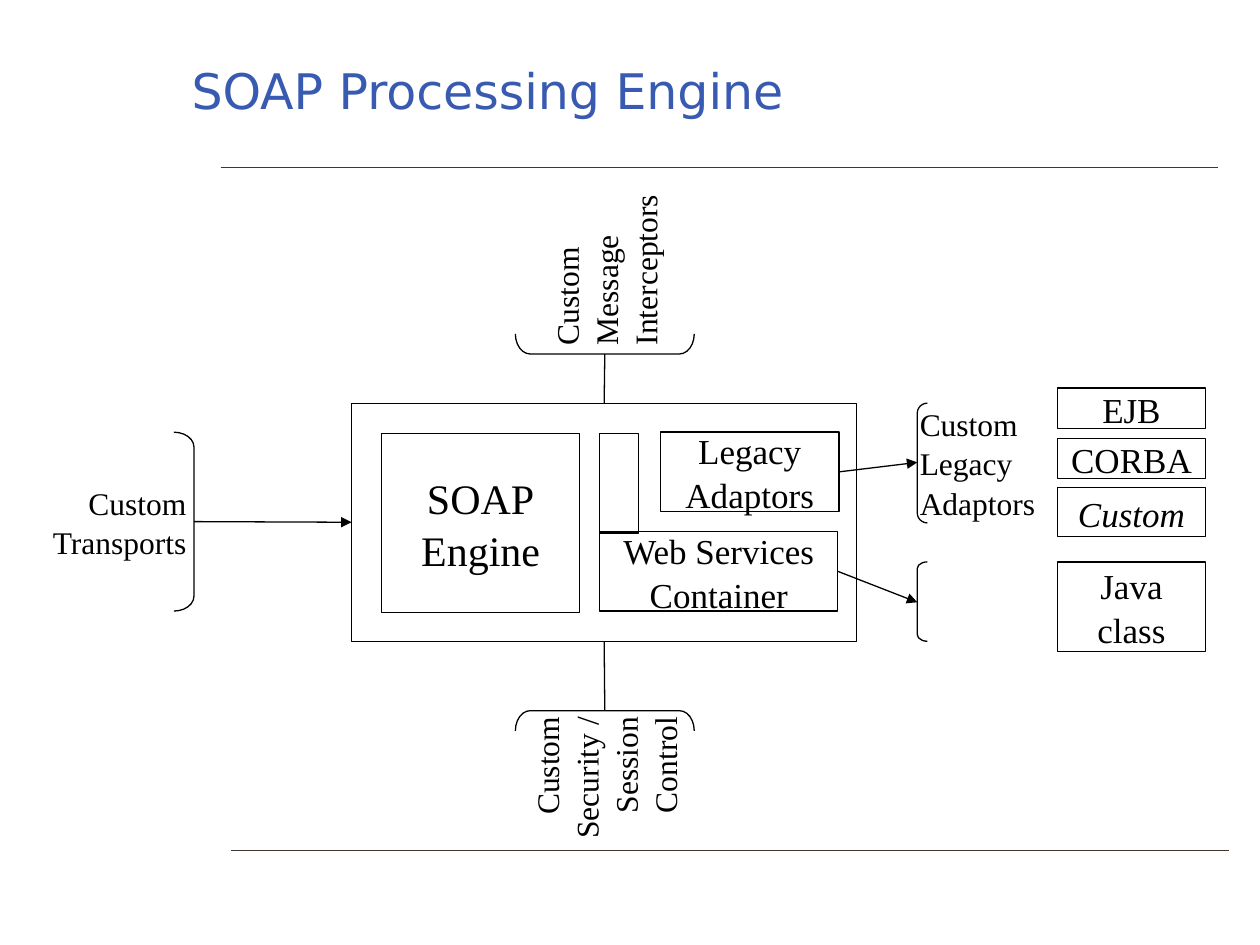
import pptx
import pptx.util
import pptx.dml.color
import pptx.enum.shapes
import pptx.enum.text
import pptx.oxml
import pptx.oxml.ns
from dataclasses import dataclass

Inches = pptx.util.Inches
Pt = pptx.util.Pt
SHAPE = pptx.enum.shapes.MSO_SHAPE
ALIGN = pptx.enum.text.PP_ALIGN
MIDDLE = pptx.enum.text.MSO_ANCHOR.MIDDLE
TOP, LEFT, BOTTOM, RIGHT = range(4)


@dataclass(frozen=True)
class Theme:
    title_font: str = "DejaVu Sans"
    body_font: str = "Times New Roman"
    title_color: str = "385AB0"
    rule_color: str = "3F3832"
    ink: str = "000000"
    title_size: int = 28
    engine_size: int = 24
    box_size: int = 20
    label_size: int = 18
    line_width: float = 0.75
    line_spacing: float = 1.04


def rgb(color):
    return pptx.dml.color.RGBColor.from_string(color)


def write_text(tf, text, *, font, size, color, align=ALIGN.CENTER,
               italic=False, wrap=False, spacing=None):
    tf.word_wrap = wrap
    tf.vertical_anchor = MIDDLE
    p = tf.paragraphs[0]
    p.text = text.replace("\n", "\v")
    p.alignment = align
    if spacing:
        p.line_spacing = spacing
    for r in p.runs:
        r.font.name = font
        r.font.size = Pt(size)
        r.font.italic = italic
        r.font.color.rgb = rgb(color)


class Diagram:
    def __init__(self, slide, theme):
        self.s = slide
        self.theme = theme

    def title(self, text, x, y, w, h):
        sp = self.s.shapes.title
        sp.left, sp.top, sp.width, sp.height = map(Inches, (x, y, w, h))
        write_text(sp.text_frame, text, font=self.theme.title_font,
                   size=self.theme.title_size, color=self.theme.title_color,
                   align=ALIGN.LEFT, wrap=True)

    def outline(self, kind, x, y, w, h):
        sp = self.s.shapes.add_shape(kind, *map(Inches, (x, y, w, h)))
        sp.shadow.inherit = False
        sp.fill.background()
        sp.line.color.rgb = rgb(self.theme.ink)
        sp.line.width = Pt(self.theme.line_width)
        return sp

    def box(self, x, y, w, h, text="", size=None, italic=False):
        sp = self.outline(SHAPE.RECTANGLE, x, y, w, h)
        if text:
            write_text(sp.text_frame, text, font=self.theme.body_font,
                       size=size or self.theme.box_size, color=self.theme.ink,
                       italic=italic, spacing=self.theme.line_spacing)
        return sp

    def bracket(self, kind, x, y, w, h, rotation=0):
        sp = self.outline(kind, x, y, w, h)
        sp.adjustments[0] = h / 12 / w
        sp.rotation = rotation

    def label(self, text, cx, cy, w, h, align, rotation=0):
        sp = self.s.shapes.add_textbox(
            *map(Inches, (cx - w / 2, cy - h / 2, w, h)))
        sp.rotation = rotation
        tf = sp.text_frame
        tf.margin_left = tf.margin_right = tf.margin_top = tf.margin_bottom = 0
        write_text(tf, text, font=self.theme.body_font,
                   size=self.theme.label_size, color=self.theme.ink,
                   align=align, wrap=True, spacing=self.theme.line_spacing)

    def line(self, x1, y1, x2, y2, color=None, begin=None, end=None, arrow=False):
        c = self.s.shapes.add_connector(
            pptx.enum.shapes.MSO_CONNECTOR.STRAIGHT,
            *map(Inches, (x1, y1, x2, y2)))
        c.line.color.rgb = rgb(color or self.theme.ink)
        c.line.width = Pt(self.theme.line_width)
        if begin:
            c.begin_connect(*begin)
        if end:
            c.end_connect(*end)
        if arrow:
            tail = pptx.oxml.parse_xml(
                f'<a:tailEnd {pptx.oxml.ns.nsdecls("a")} type="triangle"/>')
            c.line._get_or_add_ln().append(tail)
        effects = pptx.oxml.parse_xml(
            f'<a:effectLst {pptx.oxml.ns.nsdecls("a")}/>')
        c._element.spPr.append(effects)


def main():
    prs = pptx.Presentation()
    prs.slide_width, prs.slide_height = Inches(10), Inches(7.5)
    theme = Theme()
    d = Diagram(prs.slides.add_slide(prs.slide_layouts[5]), theme)

    for x, y in ((1.83, 6.75), (1.75, 1.33)):
        d.line(x, y, x + 7.92, y, color=theme.rule_color)
    d.title("SOAP Processing Engine", 1.42, 0.25, 7, 0.92)

    server = d.box(2.79, 3.2, 4.01, 1.89)
    d.box(3.03, 3.44, 1.57, 1.42, "SOAP\nEngine", size=theme.engine_size)
    legacy = d.box(5.24, 3.43, 1.42, 0.63, "Legacy\nAdaptors")
    container = d.box(4.76, 4.22, 1.89, 0.63, "Web Services\nContainer")
    d.box(4.76, 3.44, 0.31, 0.79)

    for text, y, h, italic in (
        ("EJB", 3.08, 0.32, False),
        ("CORBA", 3.48, 0.32, False),
        ("Custom", 3.87, 0.39, True),
        ("Java\nclass", 4.46, 0.71, False),
    ):
        d.box(8.39, y, 1.18, h, text, italic=italic)

    d.bracket(SHAPE.LEFT_BRACKET, 7.28, 3.2, 0.08, 0.95)
    d.bracket(SHAPE.LEFT_BRACKET, 7.28, 4.46, 0.08, 0.63)
    d.bracket(SHAPE.RIGHT_BRACKET, 1.38, 3.43, 0.16, 1.42)
    d.bracket(SHAPE.RIGHT_BRACKET, 4.72, 2.02, 0.16, 1.42, rotation=90)
    d.bracket(SHAPE.RIGHT_BRACKET, 4.72, 5.01, 0.16, 1.42, rotation=270)

    d.label("Custom\nLegacy\nAdaptors", 7.8, 3.67, 1, 0.95, ALIGN.LEFT)
    d.label("Custom\nTransports", 0.88, 4.14, 1.2, 0.7, ALIGN.RIGHT)
    d.label("Custom\nMessage\nInterceptors", 4.8, 2.09, 1.3, 0.95,
            ALIGN.LEFT, rotation=270)
    d.label("Custom\nSecurity /\nSession\nControl", 4.8, 6.19, 1, 1.25,
            ALIGN.RIGHT, rotation=270)

    d.line(6.66, 3.75, 7.28, 3.67, begin=(legacy, RIGHT), arrow=True)
    d.line(6.65, 4.54, 7.28, 4.78, begin=(container, RIGHT), arrow=True)
    d.line(1.54, 4.14, 2.79, 4.14, end=(server, LEFT), arrow=True)
    d.line(4.8, 2.81, 4.8, 3.2, end=(server, TOP))
    d.line(4.8, 5.64, 4.8, 5.09, end=(server, BOTTOM))

    prs.save("out.pptx")


if __name__ == "__main__":
    main()
